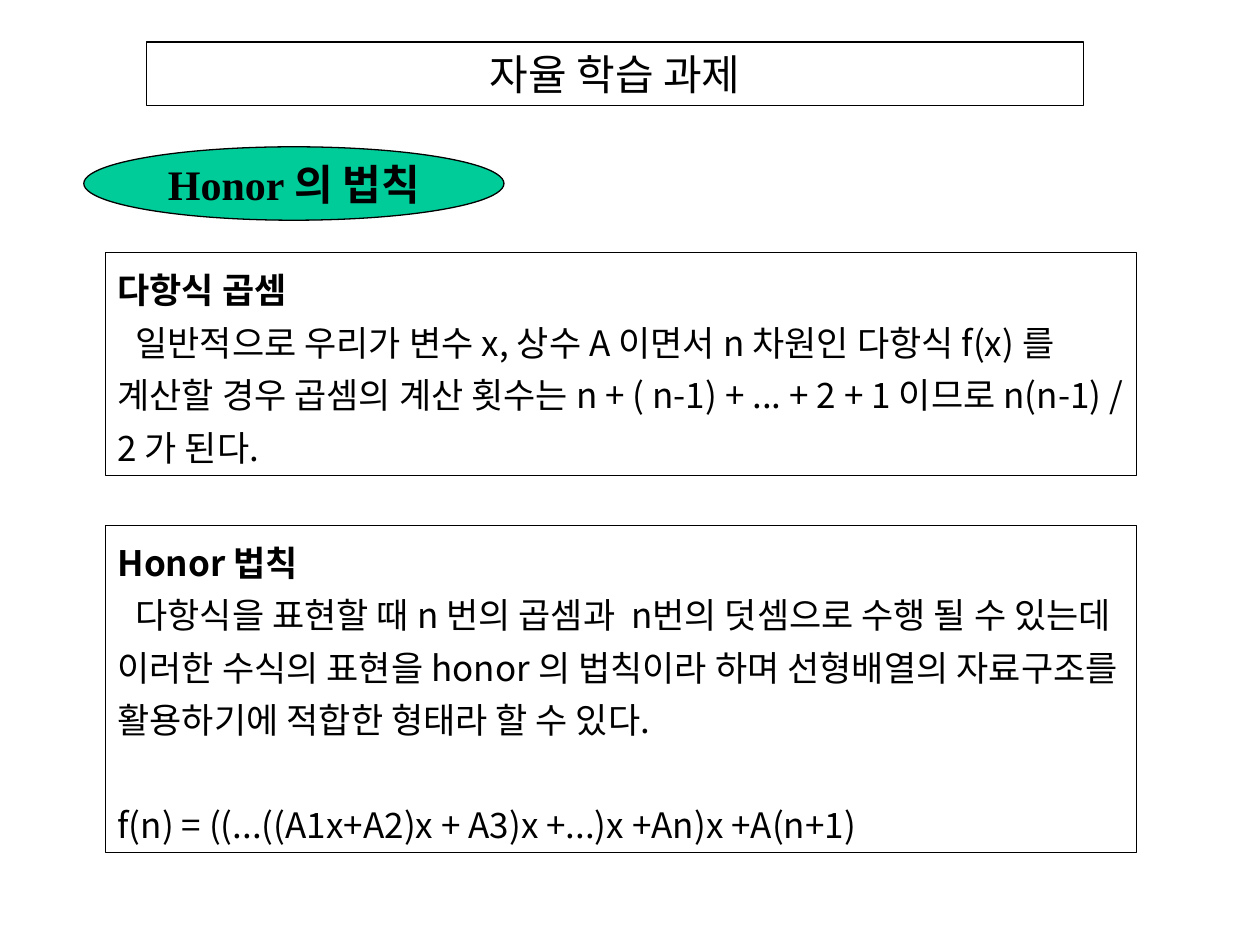
from dataclasses import dataclass

from lxml import etree
from pptx import Presentation
from pptx import util as u
from pptx.dml.color import RGBColor
from pptx.enum import shapes, text
from pptx.oxml.ns import qn


@dataclass(frozen=True)
class Theme:
    """Hold the colours, fonts and type sizes of the deck."""
    ink: RGBColor = RGBColor(0x00, 0x00, 0x00)
    accent: RGBColor = RGBColor(0x00, 0xCC, 0x99)
    serif: str = "Times New Roman"
    sans: str = "Noto Sans CJK KR"
    heading: int = 24
    body: int = 20
    leading: float = 1.25


def write(para, words, *, size, font, east, color, bold=False, align=text.PP_ALIGN.LEFT,
          leading=None, before=0, indent=0):
    """Fill one paragraph with a formatted span."""
    para.alignment = align
    para.line_spacing = leading
    para.space_before = u.Pt(before)
    para._p.get_or_add_pPr().set("indent", str(int(u.Cm(indent))))
    span = para.add_run()
    span.text = words
    span.font.size, span.font.name, span.font.bold = u.Pt(size), font, bold
    span.font.color.rgb = color
    latin = span.font._element.find(qn("a:latin"))
    latin.addnext(etree.Element(qn("a:ea"), typeface=east))


class Page:
    """Draw the elements of one slide in one theme."""

    def __init__(self, deck, theme):
        """Add a blank slide to the deck."""
        self.theme = theme
        self.slide = deck.slides.add_slide(deck.slide_layouts[6])

    def outline(self, kind, left, top, width, height, line):
        """Add an unfilled shape with a thin outline."""
        box = self.slide.shapes.add_shape(kind, u.Cm(left), u.Cm(top), u.Cm(width), u.Cm(height))
        box.shadow.inherit = False
        box.fill.background()
        box.line.color.rgb = self.theme.ink
        box.line.width = u.Pt(line)
        frame = box.text_frame
        frame.word_wrap = True
        frame.vertical_anchor = text.MSO_ANCHOR.TOP
        return box

    def heading(self, box, words, bold=False):
        """Write one centred heading in a shape."""
        write(box.text_frame.paragraphs[0], words, size=self.theme.heading, font=self.theme.serif,
              east=self.theme.sans, color=self.theme.ink, bold=bold, align=text.PP_ALIGN.CENTER)

    def title(self, words, *place):
        """Add the framed slide title."""
        box = self.outline(shapes.MSO_SHAPE.RECTANGLE, *place, line=0.75)
        box.text_frame.auto_size = text.MSO_AUTO_SIZE.SHAPE_TO_FIT_TEXT
        self.heading(box, words)

    def topic(self, words, *place):
        """Add the coloured topic ellipse."""
        box = self.outline(shapes.MSO_SHAPE.OVAL, *place, line=0.75)
        box.fill.solid()
        box.fill.fore_color.rgb = self.theme.accent
        box.text_frame.word_wrap = False
        box.text_frame.vertical_anchor = text.MSO_ANCHOR.MIDDLE
        self.heading(box, words, bold=True)

    def panel(self, paragraphs, *place):
        """Add a framed panel of paragraphs, each with its own format."""
        box = self.outline(shapes.MSO_SHAPE.RECTANGLE, *place, line=0.25)
        frame = box.text_frame
        frame.auto_size = text.MSO_AUTO_SIZE.SHAPE_TO_FIT_TEXT
        for index, (words, style) in enumerate(paragraphs):
            para = frame.add_paragraph() if index else frame.paragraphs[0]
            write(para, words, size=self.theme.body, font=self.theme.sans, east=self.theme.sans,
                  color=self.theme.ink, leading=self.theme.leading, **style)


def main():
    """Build and save the deck."""
    deck = Presentation()
    deck.slide_width, deck.slide_height = u.Cm(25.4), u.Cm(19.05)
    page = Page(deck, Theme())
    label, body, formula = {"bold": True}, {"indent": 0.36}, {"before": 30}

    page.title("자율 학습 과제", 2.96, 0.85, 18.88, 1.28)
    page.topic("Honor 의 법칙", 1.69, 2.96, 8.47, 1.48)
    page.panel([
        ("다항식 곱셈", label),
        ("일반적으로 우리가 변수 x, 상수 A 이면서 n 차원인 다항식 f(x) 를 계산할 경우 "
         "곱셈의 계산 횟수는 n + ( n-1) + ... + 2 + 1 이므로 n(n-1) / 2 가 된다.", body),
    ], 2.12, 5.08, 20.78, 4.5)
    page.panel([
        ("Honor 법칙", label),
        ("다항식을 표현할 때 n 번의 곱셈과  n번의 덧셈으로 수행 될 수 있는데 이러한 수식의 "
         "표현을 honor 의 법칙이라 하며 선형배열의 자료구조를 활용하기에 적합한 형태라 "
         "할 수 있다.", body),
        ("f(n) = ((...((A1x+A2)x + A3)x +...)x +An)x +A(n+1)", formula),
    ], 2.12, 10.58, 20.78, 6.6)
    deck.save("out.pptx")


if __name__ == "__main__":
    main()
